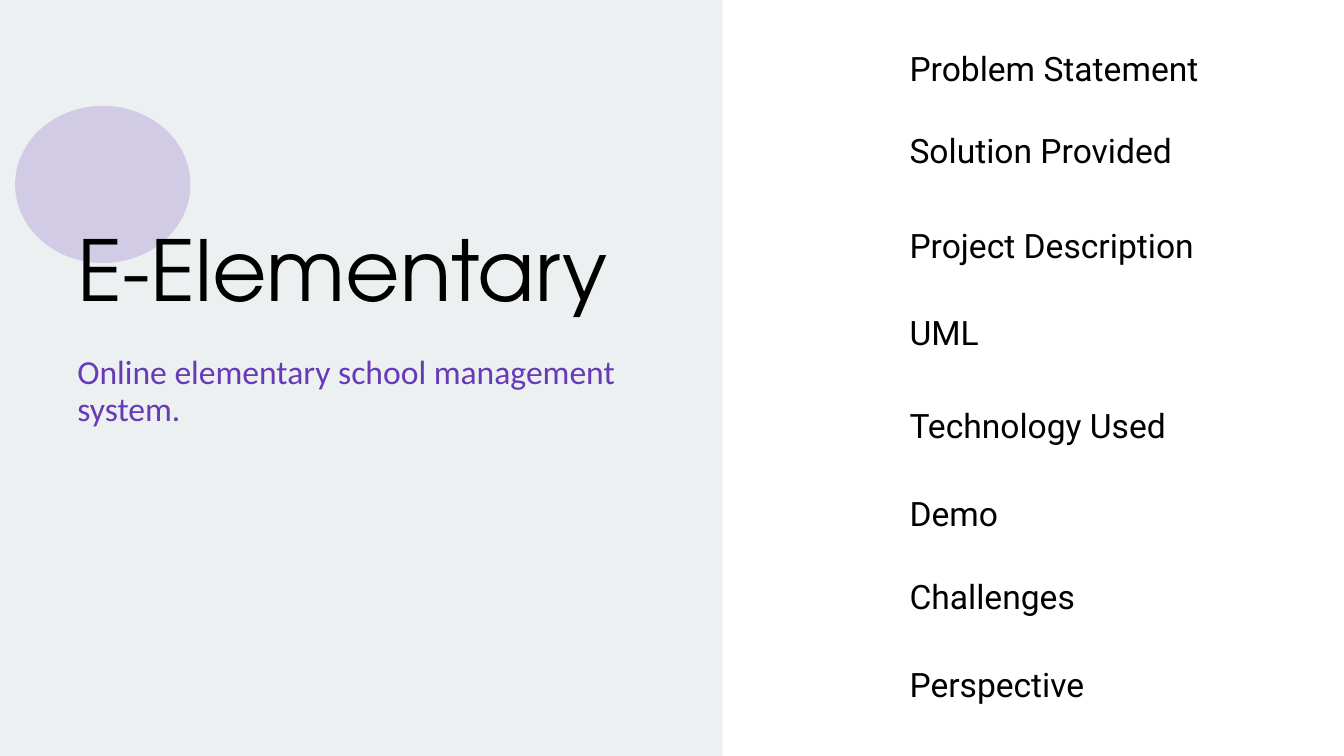
"""Build the E-Elementary title slide with its agenda."""
from dataclasses import dataclass

from lxml.etree import SubElement
from pptx import Presentation
from pptx.dml.color import RGBColor
from pptx.enum.shapes import MSO_SHAPE
from pptx.enum.text import MSO_ANCHOR, MSO_AUTO_SIZE, PP_ALIGN
from pptx.oxml.ns import qn
from pptx.slide import Slide
from pptx.util import Pt

BLACK = RGBColor(0x00, 0x00, 0x00)
PURPLE = RGBColor(0x67, 0x3A, 0xB7)
PALE_GREY = RGBColor(0xEC, 0xF0, 0xF1)
SLIDE_WIDTH, SLIDE_HEIGHT = 960, 540


@dataclass(frozen=True)
class Panel:
    preset: MSO_SHAPE
    left: float
    top: float
    width: float
    height: float
    color: RGBColor
    opacity: int = 100


@dataclass(frozen=True)
class Label:
    text: str
    left: float
    top: float
    width: float
    height: float = 36
    size: float = 24
    font: str = "Roboto"
    color: RGBColor = BLACK
    wrap: bool = False
    anchor: MSO_ANCHOR = MSO_ANCHOR.TOP
    line_spacing: float = 1.0


PANELS = (
    Panel(MSO_SHAPE.RECTANGLE, 0, 0, 516, SLIDE_HEIGHT, PALE_GREY),
    Panel(MSO_SHAPE.OVAL, 10.8, 75.6, 125.3, 112.3, PURPLE, opacity=20),
)
HEADINGS = (
    Label("E-Elementary", 48.2, 43.9, 434.2, 187.9, 60, "TeX Gyre Adventor",
          wrap=True, anchor=MSO_ANCHOR.BOTTOM, line_spacing=0.9),
    Label("Online elementary school management system.", 48.2, 250.6, 434.2, 130.3,
          font="Calibri", color=PURPLE, wrap=True, line_spacing=0.9),
)
AGENDA_LEFT = 642.6
AGENDA = (
    Label("Problem Statement", AGENDA_LEFT, 31, 224.6),
    Label("Solution Provided", AGENDA_LEFT, 89.3, 206.6),
    Label("Project Description", AGENDA_LEFT, 157, 219.6),
    Label("UML", AGENDA_LEFT, 219.6, 64.1),
    Label("Technology Used", AGENDA_LEFT, 285.8, 201.6),
    Label("Demo", AGENDA_LEFT, 348.5, 81.4),
    Label("Challenges", AGENDA_LEFT, 408.2, 133.2),
    Label("Perspective", AGENDA_LEFT, 470.9, 144),
)


def draw_panel(slide: Slide, panel: Panel) -> None:
    shape = slide.shapes.add_shape(panel.preset, Pt(panel.left), Pt(panel.top),
                                   Pt(panel.width), Pt(panel.height))
    shape.shadow.inherit = False
    shape.line.fill.background()
    shape.fill.solid()
    shape.fill.fore_color.rgb = panel.color
    if panel.opacity < 100:
        tint = shape.fill._xPr.find(qn("a:solidFill")).find(qn("a:srgbClr"))
        SubElement(tint, qn("a:alpha"), val=str(panel.opacity * 1000))


def draw_label(slide: Slide, label: Label) -> None:
    box = slide.shapes.add_textbox(Pt(label.left), Pt(label.top),
                                   Pt(label.width), Pt(label.height))
    frame = box.text_frame
    frame.text = label.text
    frame.word_wrap = label.wrap
    frame.auto_size = MSO_AUTO_SIZE.NONE if label.wrap else MSO_AUTO_SIZE.SHAPE_TO_FIT_TEXT
    frame.vertical_anchor = label.anchor
    paragraph = frame.paragraphs[0]
    paragraph.alignment = PP_ALIGN.LEFT
    paragraph.line_spacing = label.line_spacing
    font = paragraph.runs[0].font
    font.name = label.font
    font.size = Pt(label.size)
    font.color.rgb = label.color


def main() -> None:
    presentation = Presentation()
    presentation.slide_width = Pt(SLIDE_WIDTH)
    presentation.slide_height = Pt(SLIDE_HEIGHT)
    slide = presentation.slides.add_slide(presentation.slide_layouts[6])
    for panel in PANELS:
        draw_panel(slide, panel)
    for label in HEADINGS + AGENDA:
        draw_label(slide, label)
    presentation.save("out.pptx")


if __name__ == "__main__":
    main()
